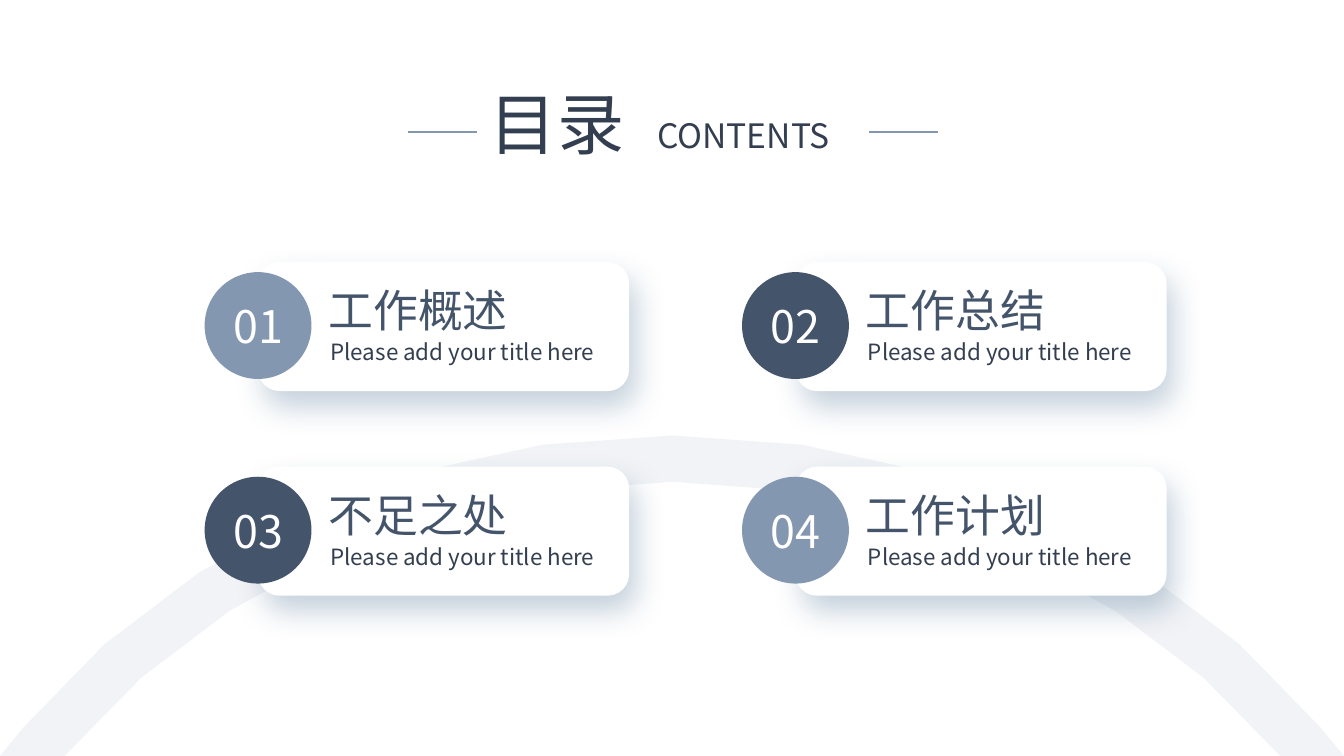
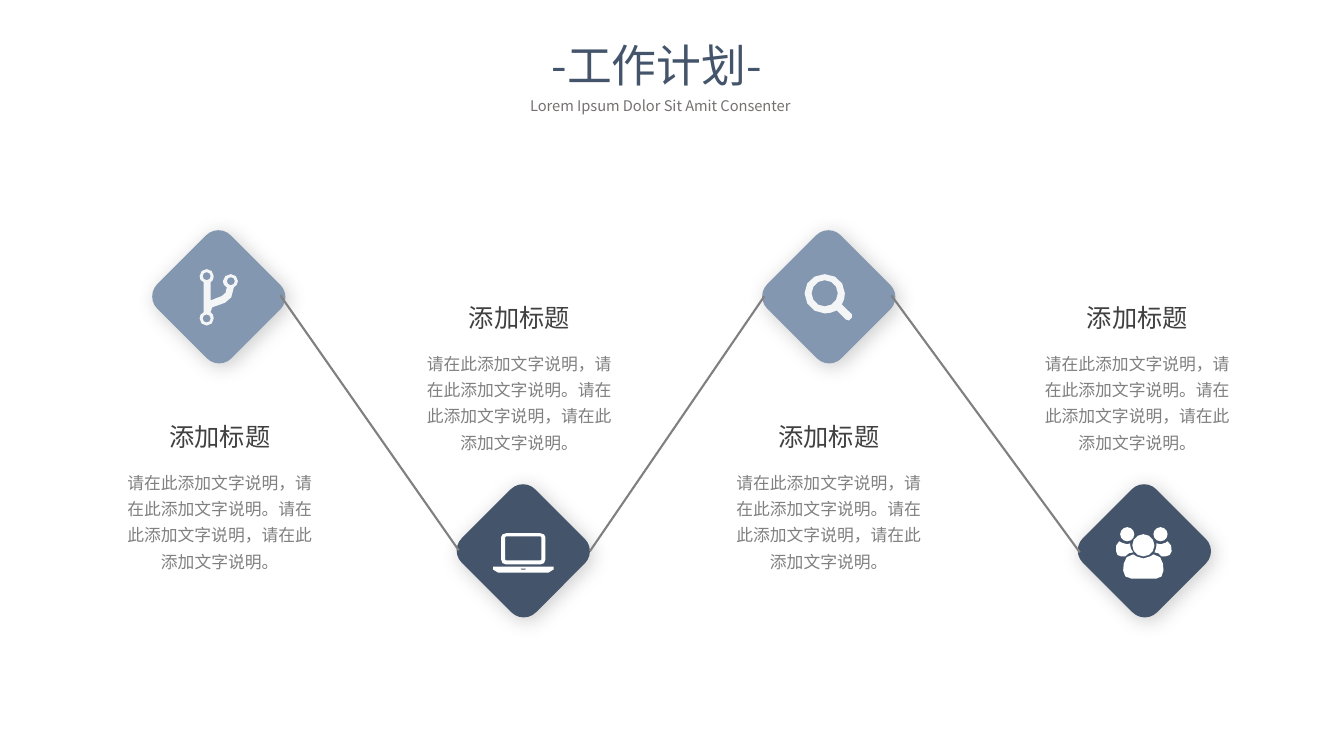
"""Build a contents slide and a four-step work plan slide."""
import math

from lxml import etree
from pptx import Presentation
from pptx.dml.color import RGBColor
from pptx.enum.shapes import MSO_CONNECTOR, MSO_SHAPE
from pptx.enum.text import MSO_ANCHOR, MSO_AUTO_SIZE, PP_ALIGN
from pptx.oxml.ns import qn
from pptx.util import Inches, Pt

COLORS = {
    "slate": "44546A",
    "steel": "8497B0",
    "navy": "333F50",
    "white": "FFFFFF",
    "mist": "F4F5F7",
    "arch": "E6EAEF",
    "subtitle": "767171",
    "heading": "404040",
    "gray": "808080",
    "card shadow": "1F4E79",
    "step shadow": "000000",
}
CONTENTS_FONT = "Noto Sans CJK JP"
PLAN_FONT = "Noto Sans CJK SC"
LEFT, CENTER = PP_ALIGN.LEFT, PP_ALIGN.CENTER
TOP, MIDDLE = MSO_ANCHOR.TOP, MSO_ANCHOR.MIDDLE
ROUNDED, OVAL = MSO_SHAPE.ROUNDED_RECTANGLE, MSO_SHAPE.OVAL
STRAIGHT = MSO_CONNECTOR.STRAIGHT
CARD_SHADOW = ("card shadow", 26, 22, 12, 67)
STEP_SHADOW = ("step shadow", 20, 15, 3, 45)


def write(shape, text, size, color, font_name, align=LEFT, anchor=TOP, spacing=None):
    """Put one styled paragraph into a shape."""
    frame = shape.text_frame
    frame.word_wrap = True
    frame.auto_size = MSO_AUTO_SIZE.NONE
    frame.vertical_anchor = anchor
    frame.text = text
    paragraph = frame.paragraphs[0]
    paragraph.alignment = align
    paragraph.line_spacing = spacing
    font = paragraph.font
    font.size = Pt(size)
    font.color.rgb = RGBColor.from_string(COLORS[color])
    font.name = font_name
    defaults = paragraph._p.pPr.find(qn("a:defRPr"))
    etree.SubElement(defaults, qn("a:ea"), typeface=font_name)


def draw_outline(slide, contours, color):
    """Fill contours of points (x, y), Bézier curves (6 values) and circles (x, y, r)."""
    builder = None
    for contour in contours:
        points = []
        for segment in contour:
            if len(segment) == 2:
                points.append(segment)
            elif len(segment) == 3:
                x, y, radius = segment
                count = 8 if radius < 0.05 else 12
                angles = [math.tau * i / count for i in range(count)]
                points += [(x + radius * math.cos(a), y + radius * math.sin(a)) for a in angles]
            else:
                x0, y0 = points[-1]
                x1, y1, x2, y2, x3, y3 = segment
                reach = math.dist((x0, y0), (x3, y3))
                steps = 6 if reach > 1 else 3 if reach > 0.15 else 2 if reach > 0.04 else 1
                for i in range(1, steps + 1):
                    t = i / steps
                    a, b, c, d = (1 - t) ** 3, 3 * t * (1 - t) ** 2, 3 * t * t * (1 - t), t ** 3
                    points.append((a * x0 + b * x1 + c * x2 + d * x3,
                                   a * y0 + b * y1 + c * y2 + d * y3))
        corners = [(Inches(x), Inches(y)) for x, y in points]
        if builder is None:
            builder = slide.shapes.build_freeform(*corners[0])
        else:
            builder.move_to(*corners[0])
        builder.add_line_segments(corners[1:], close=True)
    outline = builder.convert_to_shape()
    outline.shadow.inherit = False
    outline.fill.solid()
    outline.fill.fore_color.rgb = RGBColor.from_string(COLORS[color])
    outline.line.fill.background()
    return outline


prs = Presentation()
prs.slide_width, prs.slide_height = Inches(13.33), Inches(7.5)
contents = prs.slides.add_slide(prs.slide_layouts[5])
plan = prs.slides.add_slide(prs.slide_layouts[5])
raised = []

for slide, text, size, color, font_name, box in [
    (contents, "目录", 48, "navy", CONTENTS_FONT, (4.76, 0.77, 1.64, 0.91)),
    (plan, "-工作计划-", 32, "slate", PLAN_FONT, (5.37, 0.32, 2.59, 0.61)),
]:
    title = slide.shapes.title
    title.left, title.top, title.width, title.height = map(Inches, box)
    write(title, text, size, color, font_name)

arch = draw_outline(contents, [[
    (13.33, 7.5), (12.7, 7.5), (11.31, 5.85, 9.12, 4.78, 6.67, 4.78),
    (4.21, 4.78, 2.03, 5.85, 0.64, 7.5), (0, 7.5), (0.23, 7.22),
    (1.71, 5.45, 4.04, 4.32, 6.67, 4.32), (9.29, 4.32, 11.62, 5.45, 13.1, 7.22),
]], "arch")
arch_color = arch.fill._xPr.find(qn("a:solidFill"))[0]
etree.SubElement(arch_color, qn("a:alpha"), val="54000")

contents_label = contents.shapes.add_textbox(*map(Inches, (6.42, 1.09, 2.1, 0.5)))
write(contents_label, "CONTENTS", 24, "navy", CONTENTS_FONT)

chapters = [("工作概述", "steel"), ("工作总结", "slate"), ("不足之处", "slate"), ("工作计划", "steel")]
for index, (chapter, color) in enumerate(chapters):
    row, column = divmod(index, 2)
    x, y = 2.03 + 5.33 * column, 2.6 + 2.03 * row
    card = contents.shapes.add_shape(ROUNDED, *map(Inches, (x + 0.53, y, 3.68, 1.28)))
    card.fill.solid()
    card.fill.fore_color.rgb = RGBColor.from_string(COLORS["white"])
    card.line.fill.background()
    raised.append((card, CARD_SHADOW))
    caption = contents.shapes.add_textbox(*map(Inches, (x + 1.15, y + 0.71, 3.06, 0.37)))
    write(caption, "Please add your title here", 16, "navy", CONTENTS_FONT)
    chapter_label = contents.shapes.add_textbox(*map(Inches, (x + 1.13, y + 0.16, 2.34, 0.61)))
    write(chapter_label, chapter, 32, "slate", CONTENTS_FONT)
    badge = contents.shapes.add_shape(OVAL, *map(Inches, (x, y + 0.1, 1.06, 1.06)))
    badge.shadow.inherit = False
    badge.fill.solid()
    badge.fill.fore_color.rgb = RGBColor.from_string(COLORS[color])
    badge.line.fill.background()
    write(badge, f"{index + 1:02}", 32, "white", CONTENTS_FONT, CENTER, MIDDLE)

subtitle = plan.shapes.add_textbox(*map(Inches, (5.16, 0.91, 3.01, 0.28)))
write(subtitle, "Lorem Ipsum Dolor Sit Amit Consenter", 10.5, "subtitle", PLAN_FONT)

branch = [
    [(2.32, 2.85), (2.32, 2.98, 2.23, 3.01, 2.16, 3.03), (2.11, 3.04, 2.09, 3.05, 2.09, 3.09),
     (2.09, 3.1), (2.11, 3.11, 2.12, 3.13, 2.12, 3.16), (2.12, 3.2, 2.09, 3.23, 2.05, 3.23),
     (2.01, 3.23, 1.98, 3.2, 1.98, 3.16), (1.98, 3.13, 1.99, 3.11, 2.02, 3.1), (2.02, 2.8),
     (1.99, 2.79, 1.98, 2.77, 1.98, 2.74), (1.98, 2.7, 2.01, 2.67, 2.05, 2.67),
     (2.09, 2.67, 2.12, 2.7, 2.12, 2.74), (2.12, 2.77, 2.11, 2.79, 2.09, 2.8), (2.09, 2.98),
     (2.11, 2.97, 2.13, 2.97, 2.14, 2.96), (2.21, 2.94, 2.25, 2.92, 2.25, 2.85),
     (2.23, 2.84, 2.21, 2.82, 2.21, 2.79), (2.21, 2.75, 2.25, 2.72, 2.29, 2.72),
     (2.33, 2.72, 2.36, 2.75, 2.36, 2.79), (2.36, 2.82, 2.34, 2.84, 2.32, 2.85)],
    [(2.05, 2.74, 0.04)], [(2.05, 3.16, 0.04)], [(2.29, 2.79, 0.04)],
]
laptop = [
    [(4.89, 5.62), (5.49, 5.62), (5.49, 5.65), (5.44, 5.68), (4.94, 5.68), (4.89, 5.65)],
    [(4.97, 5.55), (4.97, 5.33), (4.97, 5.31, 4.99, 5.29, 5.02, 5.29), (5.36, 5.29),
     (5.39, 5.29, 5.41, 5.31, 5.41, 5.33), (5.41, 5.55), (5.41, 5.58, 5.39, 5.6, 5.36, 5.6),
     (5.02, 5.6), (4.99, 5.6, 4.97, 5.58, 4.97, 5.55)],
    [(5.01, 5.55), (5.02, 5.56), (5.36, 5.56), (5.37, 5.55), (5.37, 5.33), (5.36, 5.32),
     (5.02, 5.32), (5.01, 5.33)],
    [(5.16, 5.64), (5.22, 5.64), (5.21, 5.65), (5.17, 5.65)],
]
magnifier = [
    [(8.42, 3.18), (8.39, 3.17), (8.3, 3.08),
     (8.26, 3.1, 8.22, 3.11, 8.18, 3.11), (8.07, 3.11, 7.98, 3.02, 7.98, 2.91),
     (7.98, 2.8, 8.07, 2.72, 8.18, 2.72), (8.29, 2.72, 8.38, 2.8, 8.38, 2.91),
     (8.38, 2.95, 8.37, 2.99, 8.35, 3.02), (8.45, 3.12), (8.45, 3.15)],
    [(8.18, 2.91, 0.13)],
]
team = [
    [(11.16, 5.52), (11.12, 5.52), (11.09, 5.52, 11.07, 5.5, 11.07, 5.47),
     (11.07, 5.45, 11.06, 5.37, 11.1, 5.37), (11.11, 5.37, 11.14, 5.4, 11.18, 5.4),
     (11.21, 5.39), (11.21, 5.41),
     (11.21, 5.43, 11.22, 5.46, 11.24, 5.48), (11.21, 5.48, 11.18, 5.49, 11.16, 5.52)],
    [(11.47, 5.74), (11.22, 5.74), (11.17, 5.74, 11.14, 5.71, 11.14, 5.66),
     (11.14, 5.6, 11.15, 5.5, 11.24, 5.5), (11.25, 5.5, 11.28, 5.54, 11.34, 5.54),
     (11.4, 5.54, 11.43, 5.5, 11.44, 5.5), (11.53, 5.5, 11.54, 5.6, 11.54, 5.66),
     (11.54, 5.71, 11.51, 5.74, 11.47, 5.74)],
    [(11.56, 5.52), (11.52, 5.52), (11.5, 5.49, 11.48, 5.48, 11.45, 5.48),
     (11.46, 5.46, 11.47, 5.43, 11.47, 5.41), (11.47, 5.39), (11.51, 5.4),
     (11.55, 5.4, 11.58, 5.37, 11.58, 5.37), (11.62, 5.37, 11.62, 5.45, 11.62, 5.47),
     (11.62, 5.5, 11.59, 5.52, 11.56, 5.52)],
    [(11.18, 5.3, 0.07)], [(11.34, 5.41, 0.11)], [(11.51, 5.3, 0.07)],
]

HIGH, LOW = 2.95, 5.47
steps = [
    (2.17, HIGH, "steel", 2.18, 4.13, branch, "mist"),
    (5.19, LOW, "slate", 5.15, 2.95, laptop, "white"),
    (8.22, HIGH, "steel", 8.22, 4.13, magnifier, "mist"),
    (11.35, LOW, "slate", 11.28, 2.95, team, "white"),
]
for x, y, color, text_x, text_y, icon, icon_color in steps:
    diamond = plan.shapes.add_shape(ROUNDED, *map(Inches, (x - 0.52, y - 0.52, 1.04, 1.03)))
    diamond.rotation = 45
    diamond.fill.solid()
    diamond.fill.fore_color.rgb = RGBColor.from_string(COLORS[color])
    diamond.line.fill.background()
    raised.append((diamond, STEP_SHADOW))
    draw_outline(plan, icon, icon_color)
    heading = plan.shapes.add_textbox(*map(Inches, (text_x - 0.71, text_y, 1.42, 0.4)))
    write(heading, "添加标题", 18, "heading", PLAN_FONT, CENTER)
    body = plan.shapes.add_textbox(*map(Inches, (text_x - 1.08, text_y + 0.45, 2.16, 1.15)))
    write(body, "请在此添加文字说明，请在此添加文字说明。" * 2, 12, "gray", PLAN_FONT, CENTER, spacing=1.3)

rules = [(contents, "steel", (x, 1.31, x + 0.68, 1.31)) for x in (4.05, 8.62)]
rules += [(plan, "gray", ends) for ends in [
    (2.78, 2.93, 4.55, 5.46),
    (8.84, 2.93, 10.71, 5.48),
    (7.58, 2.94, 5.85, 5.47),
]]
for slide, color, ends in rules:
    rule = slide.shapes.add_connector(STRAIGHT, *map(Inches, ends))
    rule.line.width = Pt(1.5)
    rule.line.color.rgb = RGBColor.from_string(COLORS[color])
    etree.SubElement(rule._element.spPr, qn("a:effectLst"))

for shape, (color, opacity, blur, distance, angle) in raised:
    shape.shadow.inherit = False
    effects = shape._element.spPr.find(qn("a:effectLst"))
    shadow = etree.SubElement(
        effects, qn("a:outerShdw"), blurRad=str(Pt(blur)), dist=str(Pt(distance)),
        dir=str(angle * 60000), algn="ctr", rotWithShape="0")
    shade = etree.SubElement(shadow, qn("a:srgbClr"), val=COLORS[color])
    etree.SubElement(shade, qn("a:alpha"), val=str(opacity * 1000))

prs.save("out.pptx")
